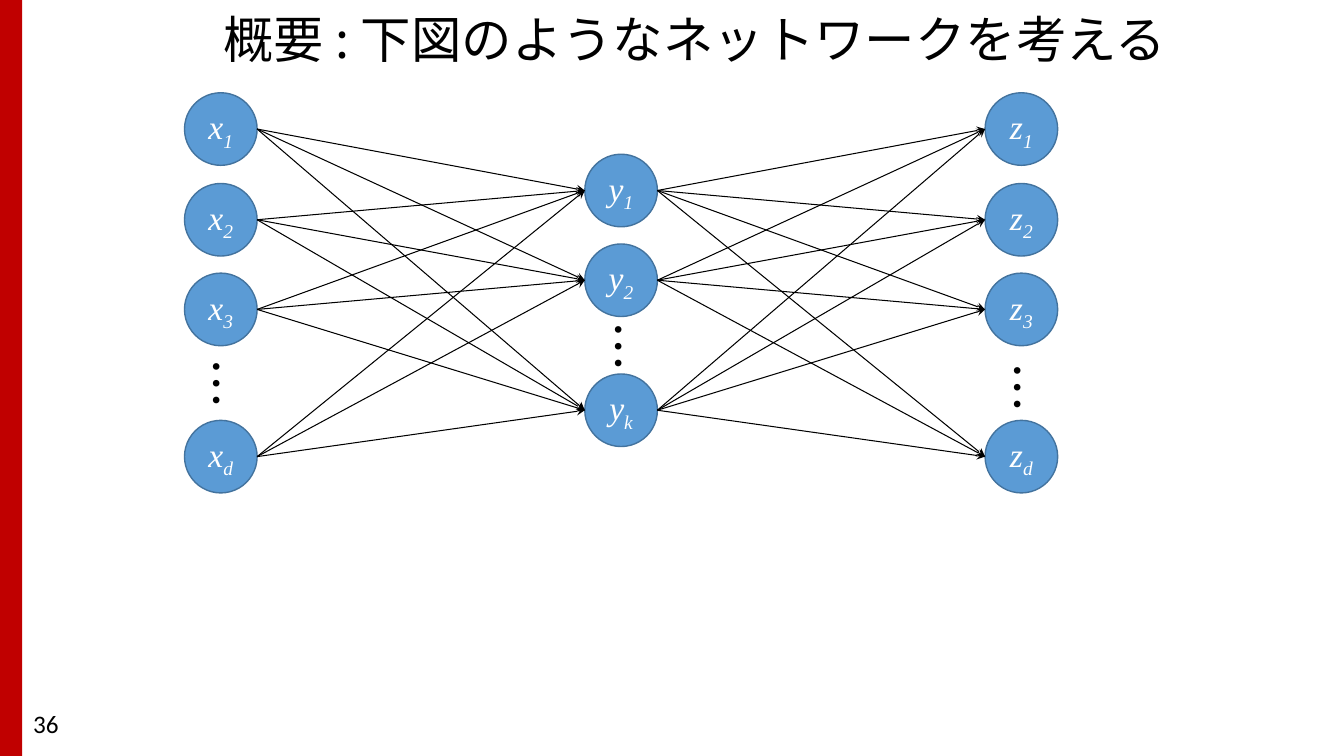
from itertools import product
from lxml import etree
from pptx import Presentation
from pptx.dml.color import RGBColor
from pptx.enum.shapes import MSO_CONNECTOR, MSO_SHAPE
from pptx.enum.text import MSO_ANCHOR, PP_ALIGN
from pptx.oxml.ns import qn
from pptx.util import Pt

PX = 9144
BLACK = RGBColor(0, 0, 0)
WHITE = RGBColor(255, 255, 255)
RED = RGBColor(0xC0, 0, 0)
BLUE = RGBColor(0x5B, 0x9B, 0xD5)
DARK_BLUE = RGBColor(0x43, 0x73, 0x9E)
JAPANESE = "Noto Sans CJK JP"
NODE = 72

LAYERS = [
    {"letter": "x", "left": 183, "tops": {"1": 92, "2": 182, "3": 271, "d": 417}, "dots": (170, 359)},
    {"letter": "y", "left": 580, "tops": {"1": 153, "2": 242, "k": 371}, "dots": (568, 323)},
    {"letter": "z", "left": 977, "tops": {"1": 92, "2": 182, "3": 271, "d": 417}, "dots": (964, 363)},
]


def px(*lengths):
    return [length * PX for length in lengths]


def set_all(target, values):
    for name, value in values.items():
        setattr(target, name, value)


def add_span(para, text, size, font, color, italic=False):
    span = para.add_run()
    span.text = text
    set_all(span.font, {"size": Pt(size), "name": font, "italic": italic, "bold": False})
    span.font.color.rgb = color
    east_asian = etree.SubElement(span.font._element, qn("a:ea"))
    east_asian.set("typeface", font)
    return span


def add_bar(page, left, top, width, height):
    bar = page.shapes.add_shape(MSO_SHAPE.RECTANGLE, *px(left, top, width, height))
    bar.shadow.inherit = False
    bar.fill.solid()
    bar.fill.fore_color.rgb = RED
    bar.line.fill.background()


def add_title(page, left, top, width, height):
    title = page.shapes.title
    set_all(title, dict(zip(("left", "top", "width", "height"), px(left, top, width, height))))
    set_all(title.text_frame, {"vertical_anchor": MSO_ANCHOR.MIDDLE, "word_wrap": True})
    para = title.text_frame.paragraphs[0]
    set_all(para, {"alignment": PP_ALIGN.CENTER, "line_spacing": 0.9})
    add_span(para, "概要 : 下図のようなネットワークを考える", 36, JAPANESE, BLACK)


def add_label(page, text, left, top, width, height, size, font, rotation=0, spacing=1.0):
    box = page.shapes.add_textbox(*px(left, top, width, height))
    box.rotation = rotation
    box.text_frame.word_wrap = True
    para = box.text_frame.paragraphs[0]
    para.line_spacing = spacing
    add_span(para, text, size, font, BLACK)


def add_node(page, letter, index, left, top):
    node = page.shapes.add_shape(MSO_SHAPE.OVAL, *px(left, top, NODE, NODE))
    node.shadow.inherit = False
    node.fill.solid()
    node.fill.fore_color.rgb = BLUE
    node.line.color.rgb = DARK_BLUE
    node.line.width = Pt(1)
    frame = node.text_frame
    set_all(frame, {
        "margin_left": 0, "margin_top": 0, "margin_right": 0, "margin_bottom": 0,
        "vertical_anchor": MSO_ANCHOR.MIDDLE,
    })
    para = frame.paragraphs[0]
    para.alignment = PP_ALIGN.CENTER
    add_span(para, letter, 24, "Times New Roman", WHITE, True)
    subscript = add_span(para, index, 24, "Times New Roman", WHITE, True)
    subscript.font._element.set("baseline", "-25000")


def add_arrow(page, start, end):
    arrow = page.shapes.add_connector(MSO_CONNECTOR.STRAIGHT, *px(*start, *end))
    arrow.line.color.rgb = BLACK
    arrow.line.width = Pt(0.75)
    etree.SubElement(arrow.line._get_or_add_ln(), qn("a:tailEnd")).set("type", "stealth")
    etree.SubElement(arrow._element.spPr, qn("a:effectLst"))


def add_layer(page, layer):
    for index, top in layer["tops"].items():
        add_node(page, layer["letter"], index, layer["left"], top)


def add_links(page, source, target):
    for start, end in product(source["tops"].values(), target["tops"].values()):
        add_arrow(page, (source["left"] + NODE, start + NODE // 2), (target["left"], end + NODE // 2))


def add_network(page):
    for layer in LAYERS:
        add_layer(page, layer)
    for source, target in zip(LAYERS, LAYERS[1:]):
        add_links(page, source, target)
    for layer in LAYERS:
        add_label(page, "…", *layer["dots"], 88, 61, 36, JAPANESE, 90, 0.9)


def main():
    deck = Presentation()
    deck.slide_width, deck.slide_height = px(1333, 750)
    page = deck.slides.add_slide(deck.slide_layouts[5])
    add_bar(page, 0, 0, 22, 750)
    add_title(page, 117, 2, 1144, 80)
    add_label(page, "36", 23, 698, 300, 40, 18, "Calibri")
    add_network(page)
    deck.save("out.pptx")


if __name__ == "__main__":
    main()
